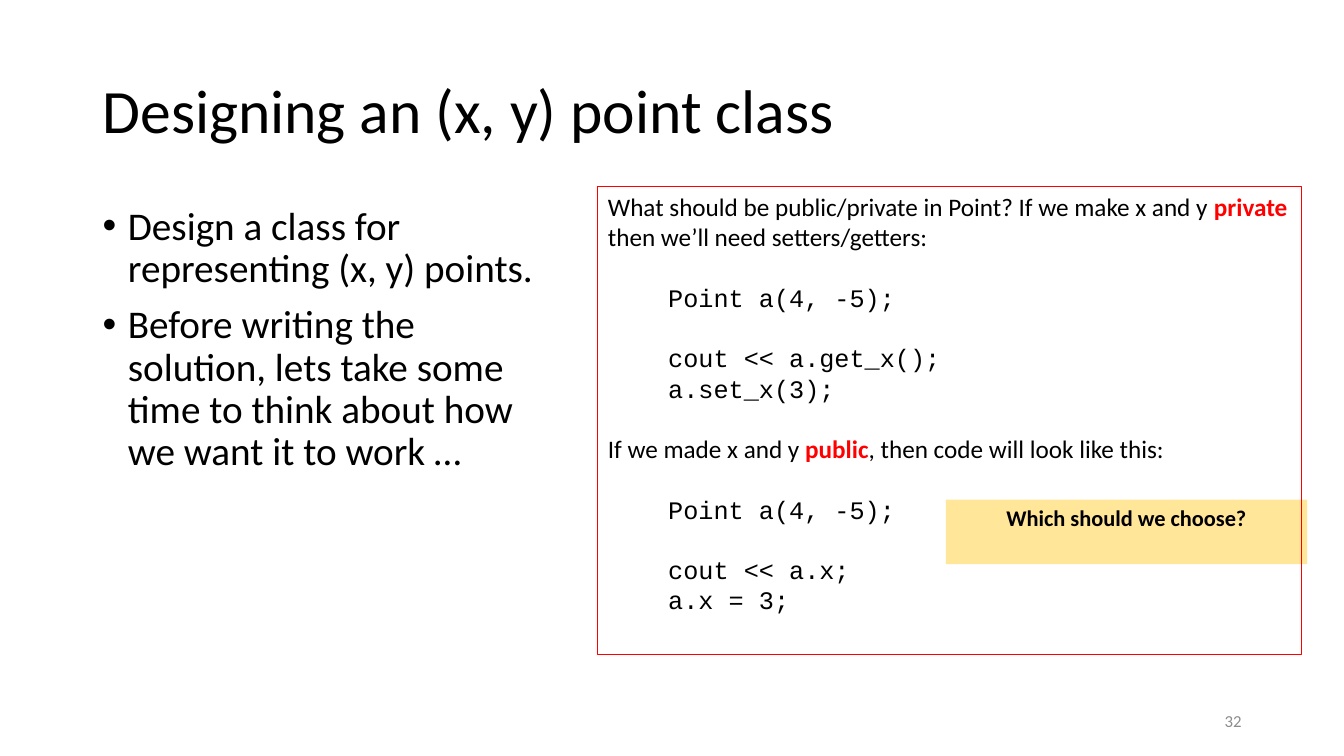
from pptx import Presentation
from pptx.dml.color import RGBColor as Rgb
from pptx.enum.shapes import MSO_SHAPE as Shape
from pptx.enum.text import MSO_ANCHOR as Anchor, MSO_AUTO_SIZE as Fit, PP_ALIGN as Align
from pptx.util import Cm, Pt

BLACK = Rgb(0, 0, 0)
RED = Rgb(0xFF, 0, 0)
GOLD = Rgb(0xFF, 0xE6, 0x99)
GREY = Rgb(0x8C, 0x8C, 0x8C)
SANS, MONO = "Calibri", "Courier New"
STEP = Pt(21.6)

POINTS = [
    "Design a class for representing (x, y) points.",
    "Before writing the solution, lets take some time to think about how we want it to work …",
]
NOTES = [
    (("What should be public/private in Point? If we make x and y ", "private",
      " then we’ll need setters/getters:"),
     ("Point a(4, -5);", "cout << a.get_x();", "a.set_x(3);")),
    (("If we made x and y ", "public", ", then code will look like this:"),
     ("Point a(4, -5);", "cout << a.x;", "a.x = 3;")),
]


def place(item, left, top, width, height):
    item.left, item.top = Cm(left), Cm(top)
    item.width, item.height = Cm(width), Cm(height)


def style(para, size, color=BLACK, face=SANS, bold=False, align=Align.LEFT):
    font = para.font
    font.size, font.name, font.bold = Pt(size), face, bold
    font.color.rgb = color
    para.alignment = align


def indent(para, left, first=0):
    props = para._p.get_or_add_pPr()
    props.set("marL", str(Cm(left)))
    props.set("indent", str(Cm(first)))


def lines(frame, count):
    for _ in range(count - 1):
        frame.add_paragraph()
    return frame.paragraphs


def add_title(slide, text):
    title = slide.shapes.title
    place(title, 2.33, 1.01, 29.21, 3.68)
    frame = title.text_frame
    frame.text, frame.auto_size = text, Fit.NONE
    frame.vertical_anchor = Anchor.MIDDLE
    para = frame.paragraphs[0]
    style(para, 44)
    para.line_spacing = 0.9


def add_list(slide, items):
    body = slide.placeholders[1]
    place(body, 2.33, 5.07, 11.89, 12.09)
    frame = body.text_frame
    frame.auto_size = Fit.NONE
    for para, item in zip(lines(frame, len(items)), items):
        para.text = item
        style(para, 28)
        indent(para, 0.64, -0.64)
        para.line_spacing, para.space_before = 0.9, Pt(10)


def add_box(slide, area, fill=None, edge=None):
    box = slide.shapes.add_shape(Shape.RECTANGLE, 0, 0, 0, 0)
    place(box, *area)
    box.shadow.inherit = False
    if fill:
        box.fill.solid()
        box.fill.fore_color.rgb = fill
    else:
        box.fill.background()
    if edge:
        box.line.color.rgb, box.line.width = edge, Pt(0.75)
    else:
        box.line.fill.background()
    frame = box.text_frame
    frame.word_wrap, frame.vertical_anchor = True, Anchor.TOP
    return frame


def add_lead(para, parts):
    before, key, after = parts
    style(para, 18)
    para.add_run().text = before
    run = para.add_run()
    run.text, run.font.bold = key, True
    run.font.color.rgb = RED
    para.add_run().text = after


def add_notes(slide, notes):
    """Alternate a lead sentence with indented code, with a one-line gap before most lines."""
    frame = add_box(slide, (15.07, 4.7, 17.73, 11.79), edge=RED)
    paras = iter(lines(frame, sum(1 + len(code) for _, code in notes)))
    for block, (lead, code) in enumerate(notes):
        para = next(paras)
        add_lead(para, lead)
        para.line_spacing = STEP
        para.space_before = STEP if block else Pt(0)
        for row, text in enumerate(code):
            para = next(paras)
            para.text = text
            style(para, 18, face=MONO)
            indent(para, 1.52)
            para.line_spacing = STEP
            para.space_before = STEP if row < 2 else Pt(0)


def add_ask(slide, text):
    frame = add_box(slide, (23.84, 12.59, 9.1, 1.63), fill=GOLD)
    para = frame.paragraphs[0]
    para.text = text
    style(para, 16, bold=True, align=Align.CENTER)


def add_page(slide, text):
    box = slide.shapes.add_textbox(0, 0, 0, 0)
    place(box, 23.92, 17.65, 7.62, 1.01)
    frame = box.text_frame
    frame.word_wrap, frame.vertical_anchor = True, Anchor.MIDDLE
    para = frame.paragraphs[0]
    para.text = text
    style(para, 12, GREY, align=Align.RIGHT)


def main():
    deck = Presentation()
    deck.slide_width, deck.slide_height = Cm(33.87), Cm(19.05)
    slide = deck.slides.add_slide(deck.slide_layouts[1])
    add_title(slide, "Designing an (x, y) point class")
    add_list(slide, POINTS)
    add_page(slide, "32")
    add_ask(slide, "Which should we choose?")
    add_notes(slide, NOTES)
    deck.save("out.pptx")


if __name__ == "__main__":
    main()
